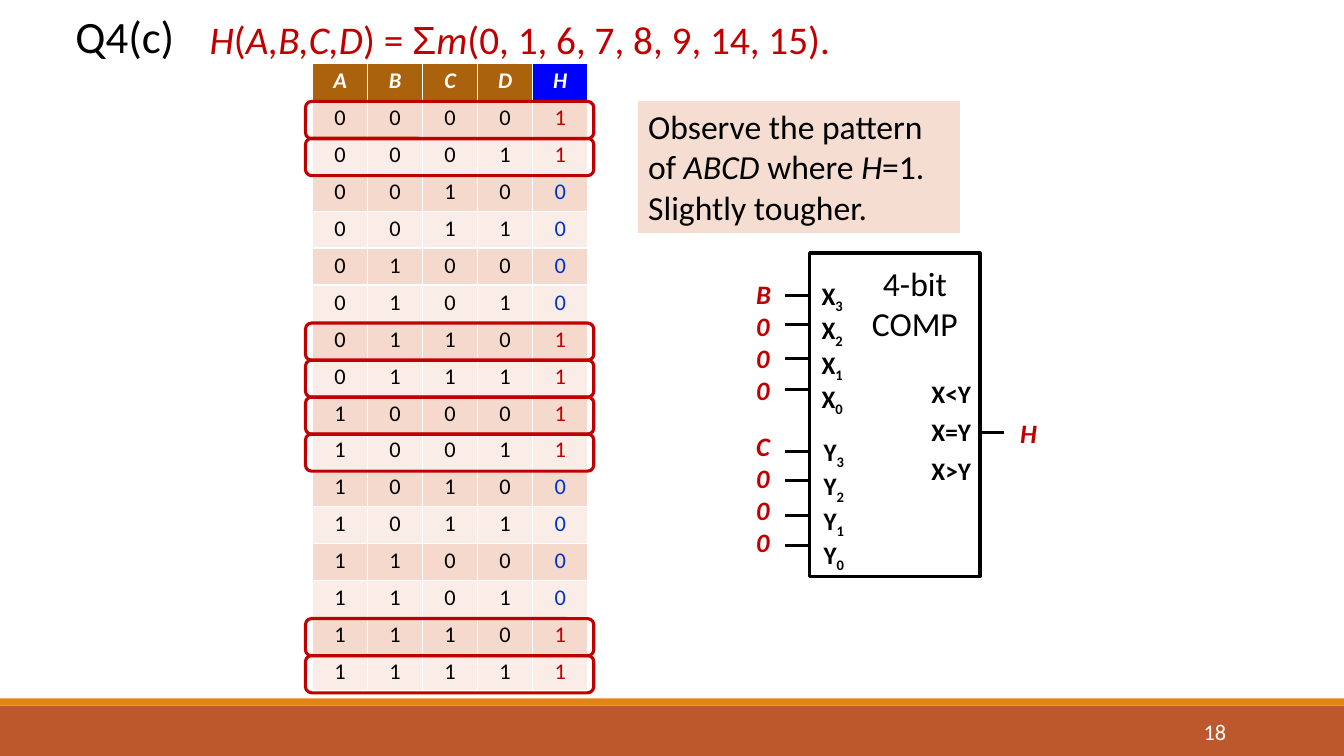
import pptx
import pptx.util
import pptx.dml.color
import pptx.enum.shapes
import pptx.enum.text
import lxml.etree

RGBColor = pptx.dml.color.RGBColor
BLACK = RGBColor(0x00, 0x00, 0x00)
WHITE = RGBColor(0xFF, 0xFF, 0xFF)
RED = RGBColor(0xC0, 0x00, 0x00)
BLUE = RGBColor(0x00, 0x33, 0xCC)
RUST = RGBColor(0xBD, 0x58, 0x2C)
ORANGE = RGBColor(0xE4, 0x83, 0x12)
BROWN = RGBColor(0xAB, 0x62, 0x0D)
BRIGHT = RGBColor(0x00, 0x00, 0xFF)
PEACH = RGBColor(0xF5, 0xDD, 0xD2)
BANDS = [RGBColor(0xF5, 0xD9, 0xCC), RGBColor(0xFA, 0xED, 0xE7)]

Inches = pptx.util.Inches
Pt = pptx.util.Pt
Align = pptx.enum.text.PP_ALIGN
Anchor = pptx.enum.text.MSO_ANCHOR
Kind = pptx.enum.shapes.MSO_SHAPE

deck = pptx.Presentation()
deck.slide_width = Inches(13.33)
deck.slide_height = Inches(7.5)
slide = deck.slides.add_slide(deck.slide_layouts[6])
shapes = slide.shapes


def write(frame, lines, size, color, align=Align.LEFT, base=""):
    """Fill a frame with lines of (text, marks) runs.

    Marks: b bold, i italic, s subscript, a Arial; base marks apply to all.
    """
    frame.word_wrap = True
    for n, line in enumerate(lines):
        para = frame.paragraphs[0] if n == 0 else frame.add_paragraph()
        para.alignment = align
        for text, marks in line:
            marks += base
            run = para.add_run()
            run.text = text
            font = run.font
            font.name = "Arial" if "a" in marks else "Calibri"
            font.size = Pt(size)
            font.color.rgb = color
            font.bold = "b" in marks
            font.italic = "i" in marks
            if "s" in marks:
                run._r.get_or_add_rPr().set("baseline", "-25000")


def draw(kind, place, fill=None, line=None):
    shape = shapes.add_shape(kind, *map(Inches, place))
    shape.shadow.inherit = False
    if fill is None:
        shape.fill.background()
    else:
        shape.fill.solid()
        shape.fill.fore_color.rgb = fill
    if line is None:
        shape.line.fill.background()
    else:
        shape.line.color.rgb = line
        shape.line.width = Pt(2.25)
    return shape


# Footer bands
draw(Kind.RECTANGLE, (0, 7, 13.33, 0.5), RUST)
draw(Kind.RECTANGLE, (0, 6.93, 13.33, 0.07), ORANGE)

# Truth table
names = "ABCDH"
ones = [0, 1, 6, 7, 8, 9, 14, 15]
left, top, wide, high = 3.1, 0.63, 2.73, 6.23
rows = 17
pitch = high / rows
table = shapes.add_table(rows, len(names), *map(Inches, (left, top, wide, high))).table
for col in table.columns:
    col.width = Inches(wide / len(names))
for r in range(rows):
    table.rows[r].height = Inches(pitch)
    value = r - 1
    texts = names if r == 0 else f"{value:04b}{int(value in ones)}"
    for c, text in enumerate(texts):
        last = c == len(names) - 1
        if r == 0:
            fill, color, marks = BRIGHT if last else BROWN, WHITE, "bi"
        else:
            fill, color, marks = BANDS[value % 2], BLACK, ""
            if last:
                color = RED if value in ones else BLUE
        cell = table.cell(r, c)
        cell.margin_top = cell.margin_bottom = Inches(0.04)
        cell.fill.solid()
        cell.fill.fore_color.rgb = fill
        write(cell.text_frame, [[(text, marks)]], 16, color, Align.CENTER)

# Note beside the table
note = draw(Kind.RECTANGLE, (6.33, 1, 3.19, 1.31), PEACH)
note.text_frame.vertical_anchor = Anchor.TOP
write(note.text_frame, [
    [("Observe the pattern of ", ""), ("ABCD", "i"), (" where ", ""),
     ("H", "i"), ("=1.", "")],
    [("Slightly tougher.", "")],
], 24, BLACK)

# Comparator block and its wires
block = (8.03, 2.51, 1.69, 3.21)
draw(Kind.RECTANGLE, block, line=BLACK)
stub = 0.24
edge = block[0] + block[2]
wires = [(block[0] - stub, start + step)
         for start in (2.93, 4.48) for step in (0, 0.29, 0.63, 0.93)]
wires.append((edge, 4.29))
for x, y in wires:
    wire = shapes.add_connector(
        pptx.enum.shapes.MSO_CONNECTOR.STRAIGHT,
        *map(Inches, (x, y, x + stub, y)))
    wire.line.color.rgb = BLACK
    wire.line.width = Pt(2.25)
    lxml.etree.SubElement(wire._element.spPr, pptx.oxml.ns.qn("a:effectLst"))

# Text boxes: place, lines, size, colour, alignment, marks
pins = {name: [[(name, ""), (digit, "s")] for digit in "3210"] for name in "XY"}
title = [("H", "i"), ("(", ""), ("A,B,C,D", "i"), (") = ", ""), ("Σ", "a"),
         ("m", "i"), ("(0, 1, 6, 7, 8, 9, 14, 15).", "")]
labels = [
    ((0.65, 0.1, 1.33, 0.7), [[("Q4(c)", "")]], 32, BLACK, Align.LEFT, ""),
    ((1.98, 0.1, 6.66, 0.57), [title], 28, RED, Align.LEFT, ""),
    ((8.05, 2.73, 0.57, 1.51), pins["X"], 18, BLACK, Align.LEFT, "b"),
    ((8.07, 4.28, 0.57, 1.31), pins["Y"], 18, BLACK, Align.LEFT, "b"),
    ((8.31, 2.56, 1.53, 0.91), [[("4-bit", "")], [("COMP", "")]],
     24, BLACK, Align.CENTER, ""),
    ((9.14, 3.7, 0.69, 1.18), [[(f"X{sign}Y", "")] for sign in "<=>"],
     18, BLACK, Align.LEFT, "b"),
    ((7.4, 2.71, 0.35, 1.38), [[(sign, "")] for sign in "B000"],
     19, RED, Align.LEFT, "bi"),
    ((7.4, 4.22, 0.35, 1.38), [[(sign, "")] for sign in "C000"],
     19, RED, Align.LEFT, "bi"),
    ((10.02, 4.09, 0.35, 0.42), [[("H", "")]], 19, RED, Align.LEFT, "bi"),
    ((10.83, 7.06, 1.43, 0.4), [[("18", "")]], 16, WHITE, Align.RIGHT, ""),
]
boxes = []
for place, *style in labels:
    box = shapes.add_textbox(*map(Inches, place))
    write(box.text_frame, *style)
    boxes.append(box.text_frame)
boxes[0].paragraphs[0].line_spacing = 0.9
for para in boxes[5].paragraphs:
    para.space_after = Pt(6)
boxes[-1].vertical_anchor = Anchor.MIDDLE

# Rings around the rows where H is 1
for value in ones:
    draw(Kind.ROUNDED_RECTANGLE,
         (3.03, top + 0.01 + (value + 1) * pitch, 2.86, 0.37), line=RED)

deck.save("out.pptx")
